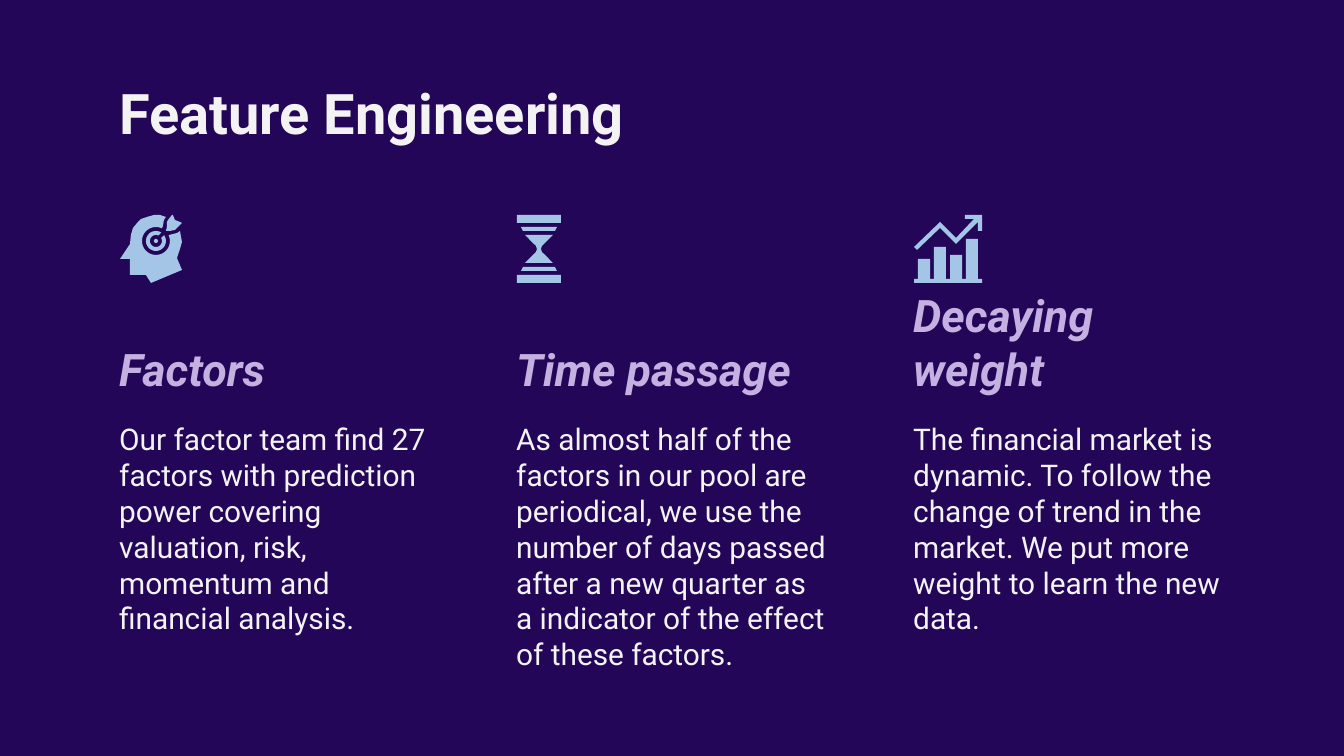
from dataclasses import dataclass
from math import cos, radians, sin

from pptx import Presentation
from pptx.dml.color import RGBColor as Rgb
from pptx.enum.text import MSO_ANCHOR as Anchor
from pptx.slide import Slide
from pptx.util import Pt

SCALE = 914400 / 134.4
FINE = 10
COLORS = {"back": "240659", "text": "F3F3F3", "head": "C5B1E1", "icon": "A5C5E6"}

Point = tuple[float, float]
Path = list[Point]


@dataclass
class Box:
    left: int
    top: int
    width: int
    height: int


@dataclass
class Style:
    color: str
    anchor: Anchor
    font: dict


@dataclass
class Column:
    head: str
    body: str
    icon: list[Path]


def px(size: float) -> int:
    return round(size * SCALE)


def tint(name: str) -> Rgb:
    return Rgb.from_string(COLORS[name])


def write(slide: Slide, text: str, box: Box, style: Style) -> None:
    shape = slide.shapes.add_textbox(
        px(box.left), px(box.top), px(box.width), px(box.height))
    frame = shape.text_frame
    layout = {"word_wrap": True, "vertical_anchor": style.anchor,
              "margin_top": px(13), "margin_bottom": px(13)}
    for name, value in layout.items():
        setattr(frame, name, value)
    run = frame.paragraphs[0].add_run()
    run.text = text
    run.font.color.rgb = tint(style.color)
    for name, value in {"name": "Roboto", **style.font}.items():
        setattr(run.font, name, value)


def draw(slide: Slide, paths: list[Path], left: int, top: int) -> None:
    moved = [[((left + x) * FINE, (top + y) * FINE) for x, y in path]
             for path in paths]
    first, *others = moved
    pen = slide.shapes.build_freeform(*first[0], scale=SCALE / FINE)
    pen.add_line_segments(first[1:], close=True)
    for path in others:
        pen.move_to(*path[0])
        pen.add_line_segments(path[1:], close=True)
    shape = pen.convert_to_shape()
    shape.shadow.inherit = False
    shape.fill.solid()
    shape.fill.fore_color.rgb = tint("icon")
    shape.line.fill.background()


def arc(size: float, start: int, end: int) -> Path:
    steps = 32
    turns = [radians(start + (end - start) * i / steps) for i in range(steps + 1)]
    return [(36 + size * cos(turn), 26 + size * sin(turn)) for turn in turns]


def target() -> list[Path]:
    face = [(40, 0), (34, 0), (27, 2), (21, 4), (18, 7), (13, 13), (11, 20),
            (10, 29), (0, 44), (10, 44), (10, 60), (26, 60), (31, 68),
            (62, 55), (57, 43), (60, 34), (62, 27), (60, 16), (57, 18),
            *arc(14, -25, 295), (43, 11), (44, 5), (46, 2)]
    dart = [(52, 0), (48, 5), (47, 7), (47, 12), (46, 16), (50, 16),
            (55, 15), (57, 13), (62, 8), (60, 7), (55, 5), (53, 0)]
    ring = arc(10, -35, 302) + arc(6, 295, -30)
    return [face, dart, ring, arc(2, 0, 360)]


def glass() -> list[Path]:
    halves = [
        [(0, 8), (0, 0)],
        [(6, 16), (4, 12)],
        [(8, 48), (16, 40), (19, 37), (20, 34), (19, 31), (16, 28), (8, 20)],
        [(4, 56), (6, 52)],
        [(0, 68), (0, 60)],
    ]
    return [half + [(44 - x, y) for x, y in reversed(half)] for half in halves]


def trend() -> list[Path]:
    arrow = [(51, 0), (51, 4), (60, 4), (42, 23), (26, 7), (0, 32), (3, 35),
             (26, 13), (42, 29), (64, 7), (64, 16), (68, 16), (68, 0)]
    bars = [(0, 64)]
    for i, top in enumerate((44, 32, 40, 24)):
        left = 4 + 16 * i
        bars += [(left, 64), (left, top), (left + 12, top), (left + 12, 64)]
    return [arrow, bars + [(68, 64), (68, 68), (0, 68)]]


TITLE = Style("text", Anchor.TOP, {"size": Pt(30), "bold": True})
HEAD = Style("head", Anchor.BOTTOM, {"size": Pt(24), "bold": True, "italic": True})
BODY = Style("text", Anchor.TOP, {"size": Pt(16)})

COLUMNS = [
    Column("Factors",
           "Our factor team find 27 factors with prediction power covering "
           "valuation, risk, momentum and financial analysis.", target()),
    Column("Time passage",
           "As almost half of the factors in our pool are periodical, we use "
           "the number of days passed after a new quarter as a indicator of "
           "the effect of these factors.", glass()),
    Column("Decaying weight",
           "The financial market is dynamic. To follow the change of trend in "
           "the market. We put more weight to learn the new data.", trend()),
]


def main() -> None:
    deck = Presentation()
    deck.slide_width, deck.slide_height = px(1344), px(756)
    slide = deck.slides.add_slide(deck.slide_layouts[6])
    fill = slide.background.fill
    fill.solid()
    fill.fore_color.rgb = tint("back")

    write(slide, "Feature Engineering", Box(106, 66, 1133, 85), TITLE)
    for i, column in enumerate(COLUMNS):
        left = 106 + 397 * i
        draw(slide, column.icon, left + 14, 215)
        write(slide, column.head, Box(left, 305, 339, 103), HEAD)
        write(slide, column.body, Box(left, 408, 339, 269), BODY)
    deck.save("out.pptx")


if __name__ == "__main__":
    main()
